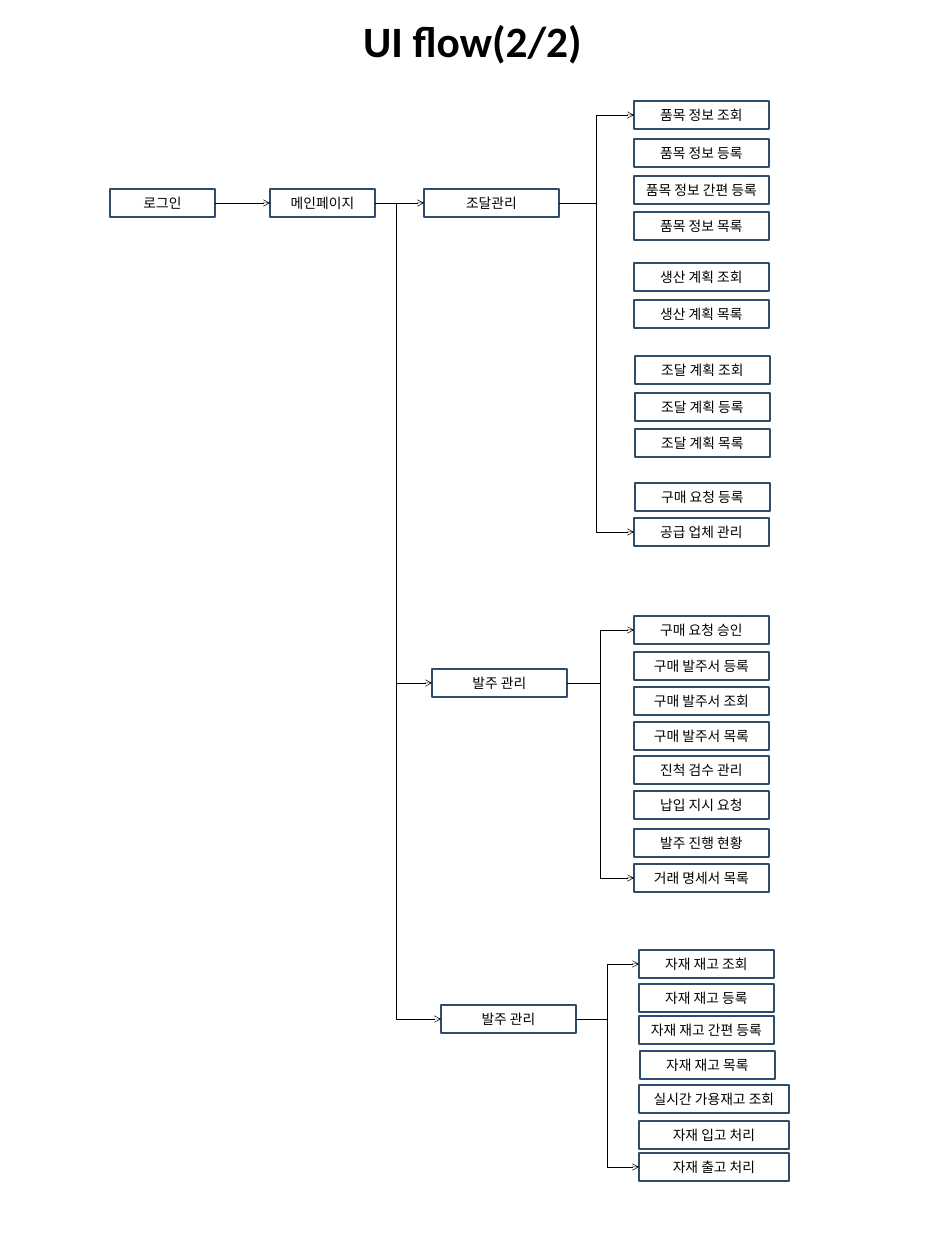
from lxml import etree
from pptx import Presentation
from pptx.dml.color import RGBColor
from pptx.enum.shapes import MSO_CONNECTOR, MSO_SHAPE
from pptx.enum.text import MSO_ANCHOR, MSO_AUTO_SIZE, PP_ALIGN
from pptx.oxml.ns import qn
from pptx.util import Pt

RECT = MSO_SHAPE.RECTANGLE
STRAIGHT, ELBOW = MSO_CONNECTOR.STRAIGHT, MSO_CONNECTOR.ELBOW
LEFT, CENTER = PP_ALIGN.LEFT, PP_ALIGN.CENTER
TOP, MIDDLE = MSO_ANCHOR.TOP, MSO_ANCHOR.MIDDLE
FIT = MSO_AUTO_SIZE.SHAPE_TO_FIT_TEXT
SCALE = 12900
HIGH, WIDE = 28, 135


def px(n):
    return round(n * SCALE)


def color(code):
    return RGBColor.from_string(code)


class Flow:
    """Draws the boxes and arrows of a page flow on one slide."""

    font, ink, edge = "Calibri", "000000", "2D4D6A"

    def __init__(self, deck):
        self.slide = deck.slides.add_slide(deck.slide_layouts[5])
        self.shapes = self.slide.shapes

    def label(self, frame, text, size, align, bold=False):
        para = frame.paragraphs[0]
        para.alignment = align
        run = para.add_run()
        run.text = text
        run.font.name = self.font
        run.font.size = Pt(size)
        run.font.bold = bold
        run.font.color.rgb = color(self.ink)

    def title(self, text, x, y, w, h):
        shape = self.shapes.title
        shape.left, shape.top, shape.width, shape.height = map(px, (x, y, w, h))
        frame = shape.text_frame
        frame.word_wrap = False
        frame.auto_size = FIT
        frame.vertical_anchor = TOP
        self.label(frame, text, 44, LEFT, True)

    def box(self, text, x, y, w=WIDE):
        shape = self.shapes.add_shape(RECT, px(x), px(y), px(w), px(HIGH))
        shape.shadow.inherit = False
        shape.fill.background()
        shape.line.color.rgb = color(self.edge)
        shape.line.width = Pt(2.25)
        shape.text_frame.vertical_anchor = MIDDLE
        self.label(shape.text_frame, text, 14, CENTER)
        return shape

    def arrow(self, kind, x1, y1, x2, y2):
        line = self.shapes.add_connector(kind, x1, y1, x2, y2)
        line.line.color.rgb = color(self.ink)
        line.line.width = Pt(0.5)
        props = line.element.spPr
        tip = etree.SubElement(props.find(qn("a:ln")), qn("a:tailEnd"))
        tip.set("type", "arrow")
        etree.SubElement(props, qn("a:effectLst"))
        return line

    def join(self, kind, start, end):
        line = self.arrow(kind, 0, 0, 0, 0)
        line.begin_connect(start, 3)
        line.end_connect(end, 1)

    def drop(self, x, y, end):
        x1, y1 = px(x), px(y)
        x2, y2 = end.left, end.top + end.height // 2
        mid_x, mid_y = (x1 + x2) // 2, (y1 + y2) // 2
        dx, dy = (x2 - x1) // 2, (y2 - y1) // 2
        line = self.arrow(ELBOW, mid_x + dy, mid_y - dx, mid_x - dy, mid_y + dx)
        props = line.element.spPr
        props.find(qn("a:xfrm")).set("rot", "16200000")
        props.find(qn("a:prstGeom")).set("prst", "bentConnector2")

    def group(self, root, items):
        boxes = [self.box(*item) for item in items]
        for end in (boxes[0], boxes[-1]):
            self.join(ELBOW, root, end)


SUPPLY = [
    ("품목 정보 조회", 634, 101),
    ("품목 정보 등록", 634, 139),
    ("품목 정보 간편 등록", 634, 176),
    ("품목 정보 목록", 634, 212),
    ("생산 계획 조회", 634, 263),
    ("생산 계획 목록", 634, 300),
    ("조달 계획 조회", 635, 356),
    ("조달 계획 등록", 635, 393),
    ("조달 계획 목록", 635, 429),
    ("구매 요청 등록", 635, 483),
    ("공급 업체 관리", 634, 518),
]
ORDER = [
    ("구매 요청 승인", 634, 616),
    ("구매 발주서 등록", 634, 652),
    ("구매 발주서 조회", 634, 687),
    ("구매 발주서 목록", 634, 722),
    ("진척 검수 관리", 634, 756),
    ("납입 지시 요청", 634, 791),
    ("발주 진행 현황", 634, 829),
    ("거래 명세서 목록", 634, 864),
]
STOCK = [
    ("자재 재고 조회", 639, 950),
    ("자재 재고 등록", 639, 984),
    ("자재 재고 간편 등록", 639, 1016),
    ("자재 재고 목록", 640, 1051),
    ("실시간 가용재고 조회", 639, 1085, 150),
    ("자재 입고 처리", 639, 1121, 150),
    ("자재 출고 처리", 639, 1153, 150),
]


def main():
    deck = Presentation()
    deck.slide_width, deck.slide_height = px(945), px(1260)
    flow = Flow(deck)
    flow.title("UI flow(2/2)", 356, 11, 234, 59)

    login = flow.box("로그인", 110, 189, 105)
    home = flow.box("메인페이지", 270, 189, 105)
    supply = flow.box("조달관리", 424, 189)
    order = flow.box("발주 관리", 432, 669)
    stock = flow.box("발주 관리", 441, 1005)

    flow.join(STRAIGHT, login, home)
    flow.join(STRAIGHT, home, supply)
    flow.drop(396, 203, order)
    flow.drop(396, 675, stock)
    for root, items in ((supply, SUPPLY), (order, ORDER), (stock, STOCK)):
        flow.group(root, items)
    deck.save("out.pptx")


if __name__ == "__main__":
    main()
